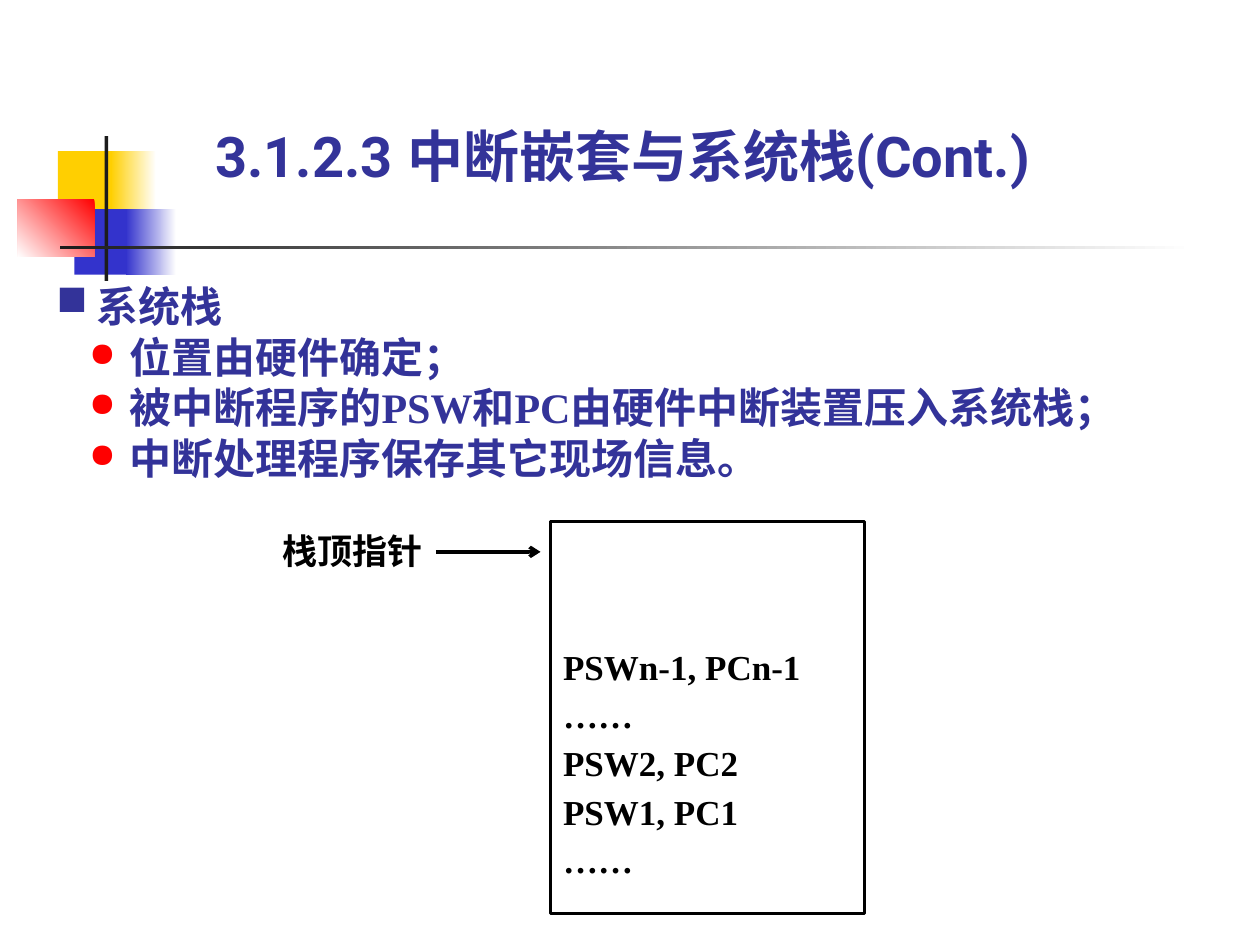
from dataclasses import dataclass
from typing import Optional

from lxml.etree import SubElement
from pptx import Presentation
from pptx.dml.color import RGBColor
from pptx.enum.shapes import MSO_CONNECTOR, MSO_SHAPE
from pptx.enum.text import MSO_ANCHOR, MSO_AUTO_SIZE, PP_ALIGN
from pptx.oxml.ns import qn
from pptx.util import Inches, Pt


@dataclass(frozen=True)
class Theme:
    """Colours, fonts and type sizes of the slide."""
    navy: str = "333399"
    black: str = "000000"
    white: str = "FFFFFF"
    gold: str = "FFCF01"
    blue: str = "3333CC"
    red: str = "FF0000"
    dark: str = "1C1C1C"
    head: str = "Roboto"
    body: str = "Times New Roman"
    big: int = 32
    mid: int = 24
    small: int = 20


@dataclass(frozen=True)
class Block:
    """A decorative rectangle, plain or fading to a second colour."""
    box: tuple
    fill: str
    fade: Optional[str] = None
    angle: int = 180


@dataclass(frozen=True)
class Point:
    """A bullet line with its marker and indent."""
    text: str
    mark: str = "●"
    tint: str = Theme.red
    size: int = 80
    left: float = 0.58


T = Theme()

BLOCKS = [
    Block((0.46, 1.2, 0.48, 0.52), T.gold),
    Block((0.88, 1.2, 0.36, 0.52), T.white, T.gold),
    Block((0.59, 1.66, 0.46, 0.52), T.blue),
    Block((1, 1.66, 0.4, 0.52), T.white, T.blue),
    Block((0.14, 1.58, 0.61, 0.46), T.red, T.white, 225),
    Block((0.83, 1.08, 0.03, 1.15), T.dark),
    Block((0.48, 1.95, 9, 0.03), T.white, T.dark),
]

POINTS = [
    Point("系统栈", "■", T.navy, 100, 0.32),
    Point("位置由硬件确定；"),
    Point("被中断程序的PSW和PC由硬件中断装置压入系统栈；"),
    Point("中断处理程序保存其它现场信息。"),
]

STACK = ["PSWn-1, PCn-1", "……", "PSW2, PC2", "PSW1, PC1", "……"]


def place(box: tuple) -> list:
    """Turn a box in inches into lengths."""
    return [Inches(side) for side in box]


def write(para, text: str, size: int, tint: str, face: str = T.body) -> None:
    """Add one bold run to a paragraph."""
    run = para.add_run()
    run.text = text
    run.font.size = Pt(size)
    run.font.bold = True
    run.font.name = face
    run.font.color.rgb = RGBColor.from_string(tint)


def lines(frame, count: int) -> list:
    """Give a frame the wanted number of paragraphs."""
    while len(frame.paragraphs) < count:
        frame.add_paragraph()
    return list(frame.paragraphs)


def rect(slide, box: tuple):
    """Add a rectangle without shadow or outline."""
    shape = slide.shapes.add_shape(MSO_SHAPE.RECTANGLE, *place(box))
    shape.shadow.inherit = False
    shape.line.fill.background()
    return shape


def label(slide, box: tuple):
    """Add a wrapping text box and return its frame."""
    frame = slide.shapes.add_textbox(*place(box)).text_frame
    frame.word_wrap = True
    return frame


def block(slide, item: Block) -> None:
    """Draw one decorative rectangle."""
    fill = rect(slide, item.box).fill
    if item.fade is None:
        fill.solid()
        fill.fore_color.rgb = RGBColor.from_string(item.fill)
        return
    fill.gradient()
    fill.gradient_angle = item.angle
    for stop, tint in zip(fill.gradient_stops, (item.fill, item.fade)):
        stop.color.rgb = RGBColor.from_string(tint)


def bullet(para, item: Point) -> None:
    """Write one bullet line with a hanging indent."""
    props = para._p.get_or_add_pPr()
    props.set("marL", str(Inches(item.left)))
    props.set("indent", str(-Inches(0.32)))
    tint = SubElement(props, qn("a:buClr"))
    SubElement(tint, qn("a:srgbClr"), val=item.tint)
    SubElement(props, qn("a:buSzPct"), val=str(item.size * 1000))
    SubElement(props, qn("a:buChar"), char=item.mark)
    write(para, item.text, T.mid, T.navy)


def arrow(slide, start: tuple, end: tuple) -> None:
    """Draw a black line with an open arrowhead at its end."""
    line = slide.shapes.add_connector(
        MSO_CONNECTOR.STRAIGHT, *place(start), *place(end))
    line.line.width = Pt(2)
    line.line.color.rgb = RGBColor.from_string(T.black)
    SubElement(line.line._get_or_add_ln(), qn("a:tailEnd"), type="arrow")
    SubElement(line._element.spPr, qn("a:effectLst"))


def title(slide, text: str) -> None:
    """Move and fill the title placeholder."""
    shape = slide.shapes.title
    shape.left, shape.top, shape.width, shape.height = place(
        (1.61, 0.91, 7.09, 0.64))
    frame = shape.text_frame
    frame.auto_size = MSO_AUTO_SIZE.NONE
    frame.vertical_anchor = MSO_ANCHOR.BOTTOM
    para = frame.paragraphs[0]
    para.alignment = PP_ALIGN.LEFT
    write(para, text, T.big, T.navy, T.head)


def stack(slide) -> None:
    """Draw the system stack and its entries."""
    shape = rect(slide, (4.37, 4.14, 2.49, 3.11))
    shape.fill.background()
    shape.line.width = Pt(2)
    shape.line.color.rgb = RGBColor.from_string(T.black)
    frame = shape.text_frame
    frame.vertical_anchor = MSO_ANCHOR.TOP
    frame.margin_top = Inches(0.93)
    for para, text in zip(lines(frame, len(STACK)), STACK):
        para.alignment = PP_ALIGN.LEFT
        para.line_spacing = 1.15
        write(para, text, T.small, T.black)


def main() -> None:
    """Build and save the slide."""
    deck = Presentation()
    deck.slide_width, deck.slide_height = Inches(10), Inches(7.5)
    slide = deck.slides.add_slide(deck.slide_layouts[5])
    for item in BLOCKS:
        block(slide, item)
    title(slide, "3.1.2.3 中断嵌套与系统栈(Cont.)")
    arrow(slide, (3.46, 4.38), (4.29, 4.38))
    frame = label(slide, (2.24, 4.2, 1.18, 0.33))
    frame.margin_left = frame.margin_right = 0
    frame.margin_top = frame.margin_bottom = 0
    write(frame.paragraphs[0], "栈顶指针", T.small, T.black)
    frame = label(slide, (0.35, 2.18, 9.37, 1.7))
    for para, item in zip(lines(frame, len(POINTS)), POINTS):
        bullet(para, item)
    stack(slide)
    deck.save("out.pptx")


if __name__ == "__main__":
    main()
